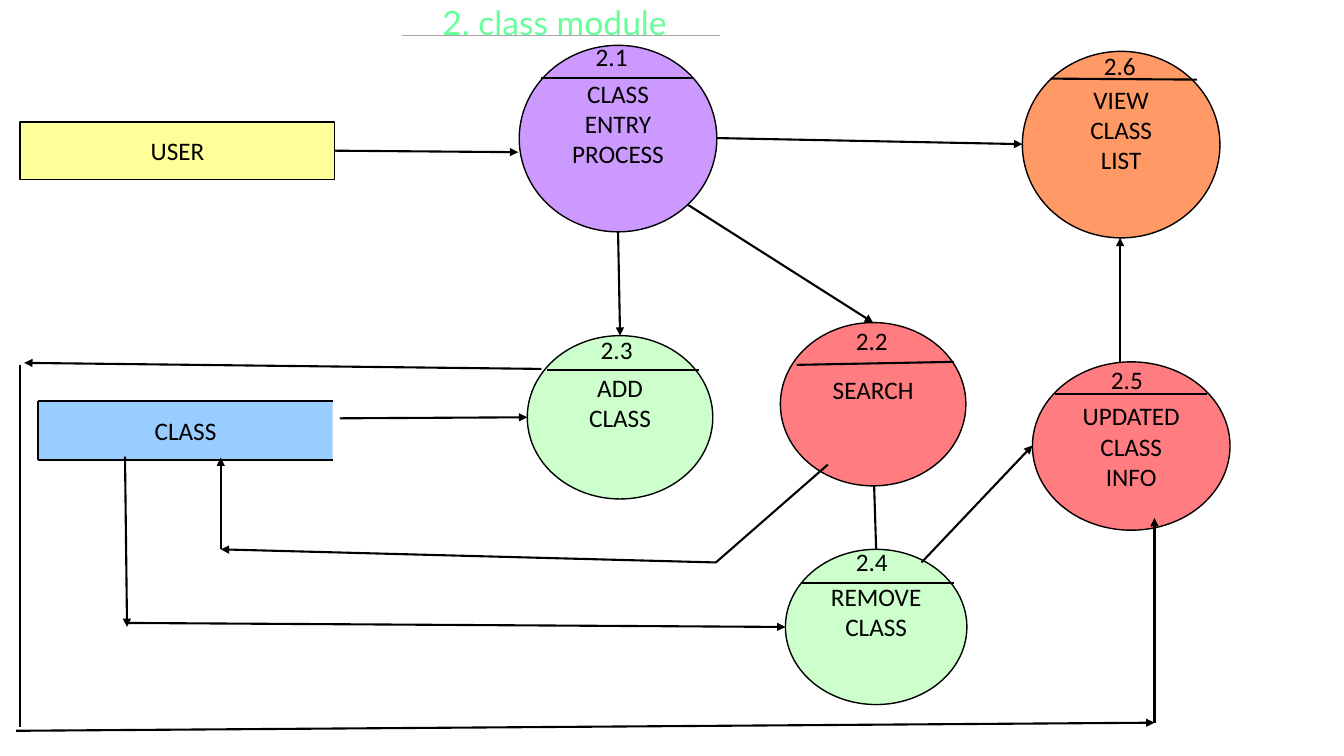
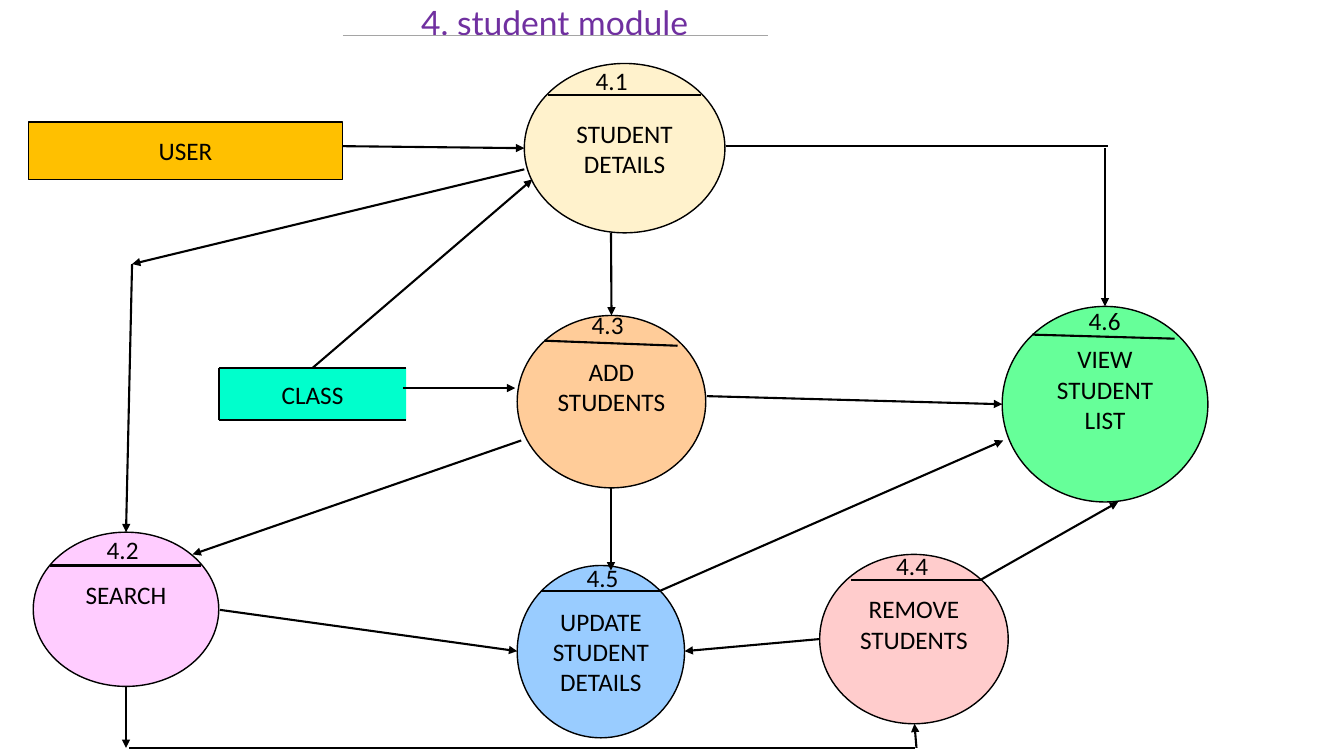
from pptx import Presentation
from pptx.dml.color import RGBColor
from pptx.enum.shapes import MSO_CONNECTOR, MSO_SHAPE
from pptx.enum.text import MSO_ANCHOR, MSO_AUTO_SIZE, PP_ALIGN
from pptx.oxml.ns import qn
from pptx.util import Inches, Pt
from lxml.etree import SubElement

# Shared style
BLACK, RULE_GRAY = "000000", "A5A5A5"
BODY = {"name": "Calibri", "size": Pt(18), "bold": False}
HEADING = {"name": "Lato", "size": Pt(24), "bold": False}
TOP, LEFT, BOTTOM, RIGHT = range(4)
LINE_LIFT = 0.3  # height of one text line


def color(value):
    return RGBColor.from_string(value)


def assign(target, values):
    for name, value in values.items():
        setattr(target, name, value)


def write(shape, lines, font, font_color=BLACK, align=PP_ALIGN.CENTER, **frame_format):
    frame = shape.text_frame
    assign(frame, {"word_wrap": True, "auto_size": MSO_AUTO_SIZE.NONE, **frame_format})
    for index, line in enumerate(lines):
        para = frame.add_paragraph() if index else frame.paragraphs[0]
        para.alignment = align
        span = para.add_run()
        span.text = line
        assign(span.font, font)
        span.font.color.rgb = color(font_color)


def add_line(page, start, end, arrow=False, width=1.5, line_color=BLACK):
    """Draw a line; each end is a point or a (shape, side) pair to join."""
    ends = [(0, 0) if hasattr(point[0], "shape_id") else point for point in (start, end)]
    line = page.shapes.add_connector(
        MSO_CONNECTOR.STRAIGHT, *[Inches(value) for point in ends for value in point])
    for point, join in ((start, line.begin_connect), (end, line.end_connect)):
        if hasattr(point[0], "shape_id"):
            join(*point)
    line.line.color.rgb = color(line_color)
    line.line.width = Pt(width)
    properties = line.line._get_or_add_ln()
    if arrow:
        SubElement(properties, qn("a:tailEnd"), type="triangle")
    SubElement(properties.getparent(), qn("a:effectLst"))


def add_block(page, kind, box, fill, lines, outlined=True, **frame_format):
    block = page.shapes.add_shape(kind, *[Inches(value) for value in box])
    block.shadow.inherit = False
    block.fill.solid()
    block.fill.fore_color.rgb = color(fill)
    if outlined:
        block.line.color.rgb = color(BLACK)
        block.line.width = Pt(1)
    else:
        block.line.fill.background()
    write(block, lines, BODY, vertical_anchor=MSO_ANCHOR.MIDDLE, **frame_format)
    return block


def add_title(page, text, text_color, rule_left, rule_right, rule_width):
    title = page.shapes.title
    assign(title, {"left": Inches(2.48), "top": Inches(0),
                   "width": Inches(6.04), "height": Inches(0.47)})
    write(title, [text], HEADING, text_color,
          vertical_anchor=MSO_ANCHOR.TOP, margin_top=Inches(0.02))
    add_line(page, (rule_left, 0.35), (rule_right, 0.35),
             width=rule_width, line_color=RULE_GRAY)


def add_store(page, box, fill):
    """Data store: a filled block whose outline is open on the right."""
    left, top, width, height = box
    store = add_block(page, MSO_SHAPE.RECTANGLE, box, fill, ["CLASS"], outlined=False)
    right, bottom = left + width, top + height
    for start, end in (((left, top), (left, bottom)),
                       ((left, top), (right, top)),
                       ((left, bottom), (right, bottom))):
        add_line(page, start, end)
    return store


def add_process(page, number, box, fill, lines, lift, label, rule):
    """Process circle; label and rule are offsets from the corner of its box."""
    left, top = box[:2]
    circle = add_block(page, MSO_SHAPE.OVAL, box, fill, lines, margin_left=0,
                       margin_right=0, margin_bottom=Inches(0.05 + lift))
    x1, y1, x2, y2 = rule
    add_line(page, (left + x1, top + y1), (left + x2, top + y2))
    caption = page.shapes.add_textbox(
        Inches(left + label[0]), Inches(top + label[1]), Inches(1.07), Inches(0.4))
    write(caption, [number], BODY, align=PP_ALIGN.LEFT)
    return circle


def add_module(deck, title, user, store, processes, flows):
    """One data-flow slide; flows are (start, end, arrow), ends may name a node."""
    page = deck.slides.add_slide(deck.slide_layouts[5])
    add_title(page, *title)
    nodes = {"USER": add_block(page, MSO_SHAPE.RECTANGLE, *user, ["USER"]),
             "CLASS": add_store(page, *store)}
    for process in processes:
        nodes[process[0]] = add_process(page, *process)
    for start, end, arrow in flows:
        ends = [(nodes[point[0]], point[1]) if point[0] in nodes else point
                for point in (start, end)]
        add_line(page, *ends, arrow)


# Class module: number, box, fill, lines, lift, label offset, rule offsets
CLASS_PROCESSES = [
    ("2.1", (5.15, 0.45, 1.96, 1.85), "CC99FF", ["CLASS", "ENTRY", "PROCESS"],
     LINE_LIFT, (0.66, -0.09), (0.22, 0.32, 1.73, 0.32)),
    ("2.2", (7.74, 3.2, 1.84, 1.62), "FF7C80", ["SEARCH"],
     LINE_LIFT, (0.65, -0.02), (0.16, 0.42, 1.72, 0.39)),
    ("2.3", (5.23, 3.33, 1.84, 1.62), "CCFFCC", ["ADD", "CLASS"],
     LINE_LIFT, (0.63, -0.06), (0.2, 0.34, 1.7, 0.34)),
    ("2.4", (7.79, 5.45, 1.8, 1.54), "CCFFCC", ["REMOVE", "CLASS"],
     LINE_LIFT, (0.6, -0.08), (0.16, 0.33, 1.67, 0.33)),
    ("2.5", (10.24, 3.59, 1.96, 1.67), "FF7C80", ["UPDATED", "CLASS", "INFO"],
     0, (0.68, -0.02), (0.22, 0.32, 1.73, 0.32)),
    ("2.6", (10.14, 0.51, 1.96, 1.85), "FF9966", ["VIEW", "CLASS", "LIST"],
     LINE_LIFT, (0.71, -0.06), (0.28, 0.27, 1.73, 0.28)),
]
CLASS_FLOWS = [
    (("USER", RIGHT), (5.14, 1.51), True),
    ((7.11, 1.37), (10.14, 1.43), True),
    ((11.11, 3.6), (11.11, 2.36), True),
    ((6.13, 2.3), ("2.3", TOP), True),
    ((6.82, 2.03), ("2.2", TOP), True),
    ((8.67, 4.82), ("2.4", TOP), False),
    ((9.14, 5.58), (10.24, 4.42), True),
    ((3.37, 4.15), (5.23, 4.14), True),
    # Search back to the store
    ((8.21, 4.61), (7.1, 5.58), False),
    ((7.1, 5.58), (2.19, 5.45), True),
    ((2.19, 5.45), (2.19, 4.54), True),
    # Store to remove
    ((1.24, 4.53), (1.26, 6.22), True),
    ((1.25, 6.18), (7.79, 6.22), True),
    # Add around the edge to updated info
    ((5.37, 3.66), (0.24, 3.6), True),
    ((0.2, 3.62), (0.2, 7.21), False),
    ((0.16, 7.25), (11.45, 7.17), True),
    ((11.45, 7.17), (11.45, 5.14), True),
]

# Student module
STUDENT_PROCESSES = [
    ("4.1", (5.2, 0.63, 1.99, 1.68), "FFF2CC", ["STUDENT", "DETAILS"],
     0, (0.61, -0.03), (0.24, 0.31, 1.75, 0.31)),
    ("4.2", (0.33, 5.28, 1.84, 1.53), "FFCCFF", ["SEARCH"],
     LINE_LIFT, (0.63, -0.03), (0.17, 0.33, 1.66, 0.33)),
    ("4.3", (5.13, 3.13, 1.87, 1.71), "FFCC99", ["ADD", "STUDENTS"],
     LINE_LIFT, (0.64, -0.11), (0.27, 0.25, 1.59, 0.3)),
    ("4.4", (8.13, 5.5, 1.87, 1.68), "FFCCCC", ["REMOVE", "STUDENTS"],
     LINE_LIFT, (0.66, -0.09), (0.31, 0.25, 1.6, 0.25)),
    ("4.5", (5.13, 5.61, 1.66, 1.71), "99CCFF", ["UPDATE", "STUDENT", "DETAILS"],
     0, (0.59, -0.08), (0.24, 0.25, 1.42, 0.25)),
    ("4.6", (9.94, 3.04, 2.04, 1.94), "66FF99", ["VIEW", "STUDENT", "LIST"],
     LINE_LIFT, (0.76, -0.06), (0.3, 0.28, 1.71, 0.32)),
]
STUDENT_FLOWS = [
    ((3.4, 1.45), (5.2, 1.47), True),
    (("CLASS", TOP), (5.28, 1.78), True),
    ((4, 3.85), (5.11, 3.85), True),
    ((6.06, 2.31), ("4.3", TOP), True),
    ((6.06, 4.84), (6.06, 5.66), True),
    ((7.01, 3.93), (9.94, 4.01), True),
    ((5.17, 4.37), (1.91, 5.5), True),
    ((2.18, 6.05), (5.13, 6.46), True),
    ((8.13, 6.34), (6.79, 6.46), True),
    ((6.55, 5.86), (9.95, 4.37), True),
    ((9.73, 5.75), (11.09, 4.98), True),
    # Details to the list
    ((7.2, 1.45), (10.99, 1.45), False),
    ((10.96, 1.47), ("4.6", TOP), True),
    # Details to search
    ((5.2, 1.68), (1.31, 2.62), True),
    ((1.31, 2.62), ("4.2", TOP), True),
    # Search to remove
    ((1.25, 6.81), (1.25, 7.42), True),
    ((1.28, 7.42), (9.08, 7.42), False),
    ((9.09, 7.42), (9.07, 7.18), True),
]


def main():
    deck = Presentation()
    assign(deck, {"slide_width": Inches(13.33), "slide_height": Inches(7.5)})
    add_module(deck, ("2. class module", "66FF99", 3.99, 7.14, 0.5),
               ((0.2, 1.21, 3.12, 0.57), "FFFF99"),
               ((0.38, 3.98, 2.92, 0.58), "99CCFF"), CLASS_PROCESSES, CLASS_FLOWS)
    add_module(deck, ("4. student module", "7030A0", 3.4, 7.62, 1),
               ((0.28, 1.21, 3.12, 0.57), "FFC000"),
               ((2.17, 3.65, 1.86, 0.52), "00FFCC"), STUDENT_PROCESSES, STUDENT_FLOWS)
    deck.save("out.pptx")


if __name__ == "__main__":
    main()
